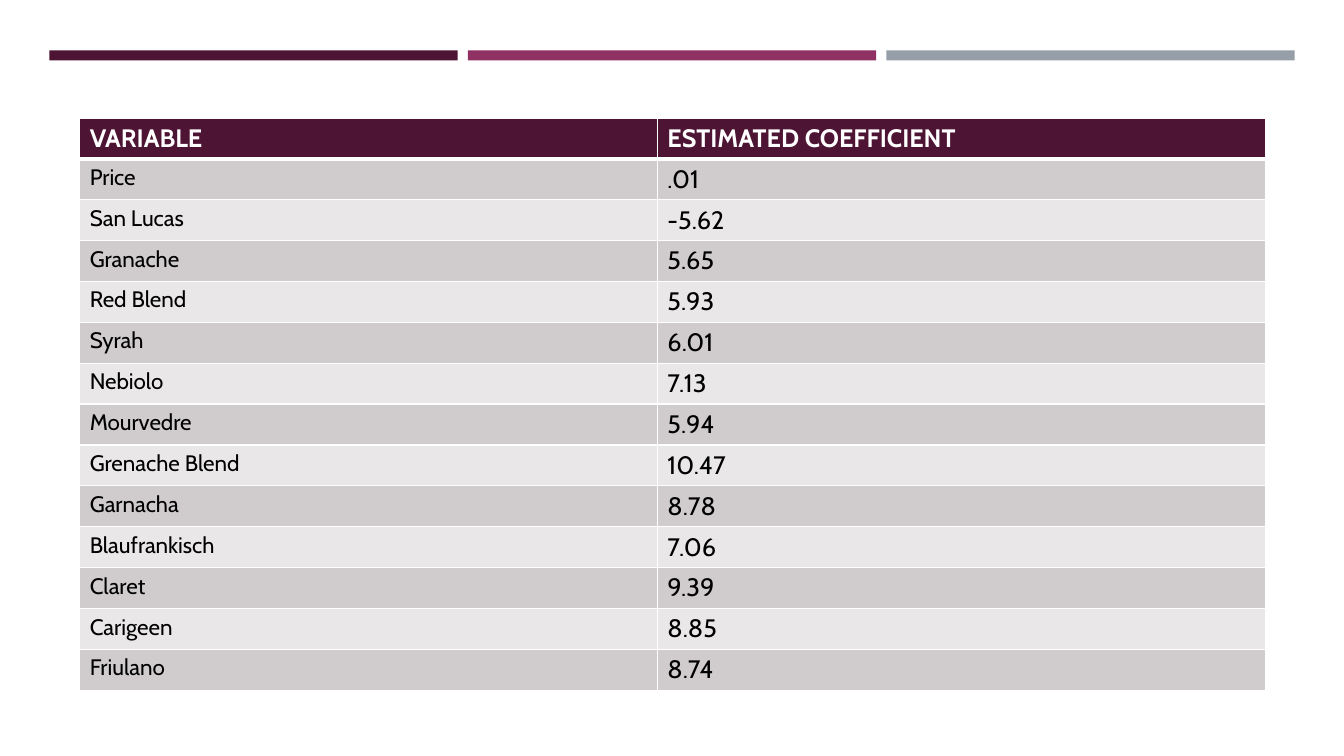
import pptx
import pptx.dml.color
import pptx.enum.shapes
import pptx.oxml.ns
import pptx.util
from lxml import etree

Inches = pptx.util.Inches
theme = {
    "font": "Cabin",
    "bars": ["4D1434", "903163", "969FA7"],
    "header": "4D1434",
    "bands": ["D0CCCE", "E9E7E8"],
    "white": "FFFFFF",
    "black": "000000",
    "header_size": 18,
    "column_sizes": [16, 18],
    "rule": 1,
    "header_rule": 3,
}
rows = [
    ("VARIABLE", "ESTIMATED COEFFICIENT"),
    ("Price", ".01"),
    ("San Lucas", "-5.62"),
    ("Granache", "5.65"),
    ("Red Blend", "5.93"),
    ("Syrah", "6.01"),
    ("Nebiolo", "7.13"),
    ("Mourvedre", "5.94"),
    ("Grenache Blend", "10.47"),
    ("Garnacha", "8.78"),
    ("Blaufrankisch", "7.06"),
    ("Claret", "9.39"),
    ("Carigeen", "8.85"),
    ("Friulano", "8.74"),
]


def paint(fill, color):
    fill.solid()
    fill.fore_color.rgb = pptx.dml.color.RGBColor.from_string(color)


def add_border(cell, side, width):
    qn = pptx.oxml.ns.qn
    properties = cell._tc.get_or_add_tcPr()
    line = etree.SubElement(properties, qn(f"a:{side}"), w=str(pptx.util.Pt(width)))
    solid = etree.SubElement(line, qn("a:solidFill"))
    etree.SubElement(solid, qn("a:srgbClr"), val=theme["white"])


deck = pptx.Presentation()
deck.slide_width = Inches(13.33)
deck.slide_height = Inches(7.5)
page = deck.slides.add_slide(deck.slide_layouts[6])

for index, color in enumerate(theme["bars"]):
    bar = page.shapes.add_shape(
        pptx.enum.shapes.MSO_SHAPE.RECTANGLE,
        Inches(0.49 + index * 4.15), Inches(0.5), Inches(4.05), Inches(0.1),
    )
    bar.shadow.inherit = False
    paint(bar.fill, color)
    bar.line.fill.background()

table = page.shapes.add_table(
    len(rows), 2, Inches(0.79), Inches(1.17), Inches(11.76), Inches(5.6)
).table
for column, width in zip(table.columns, [5.73, 6.03]):
    column.width = Inches(width)

for row_index, row in enumerate(rows):
    is_header = row_index == 0
    table.rows[row_index].height = Inches(0.39)
    for column_index, text in enumerate(row):
        cell = table.cell(row_index, column_index)
        top = theme["header_rule"] if row_index == 1 else theme["rule"]
        bottom = theme["header_rule"] if is_header else theme["rule"]
        widths = {"lnL": theme["rule"], "lnR": theme["rule"], "lnT": top, "lnB": bottom}
        for side, width in widths.items():
            add_border(cell, side, width)
        paint(cell.fill, theme["header"] if is_header else theme["bands"][(row_index - 1) % 2])

        span = cell.text_frame.paragraphs[0].add_run()
        span.text = text
        size = theme["header_size"] if is_header else theme["column_sizes"][column_index]
        settings = {"name": theme["font"], "size": pptx.util.Pt(size), "bold": is_header}
        for name, value in settings.items():
            setattr(span.font, name, value)
        paint(span.font.fill, theme["white"] if is_header else theme["black"])

deck.save("out.pptx")
